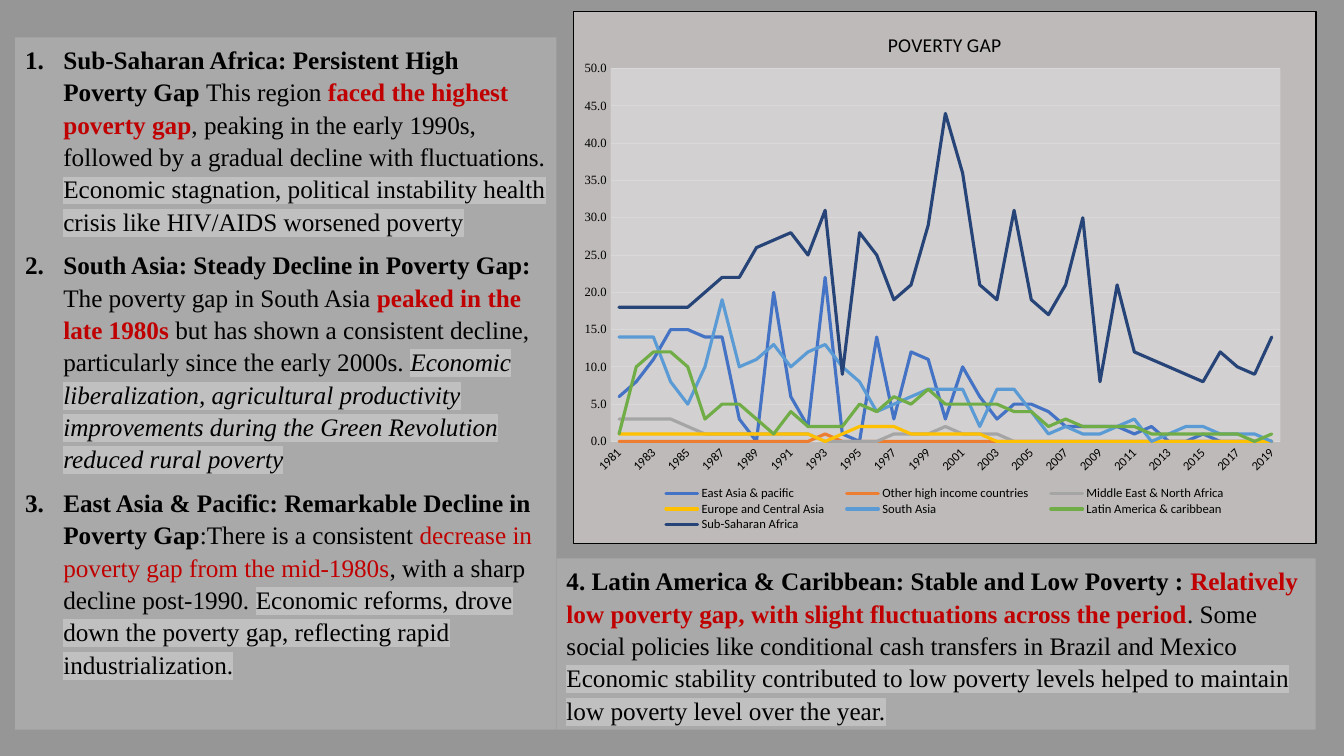
import pptx
import pptx.chart.data
import pptx.dml.color
import pptx.enum.chart
import pptx.enum.shapes
import pptx.enum.text
import pptx.oxml
import pptx.oxml.ns
import pptx.util

SLIDE_W, SLIDE_H = 13.33, 7.5
BLACK, RED, SILVER, PANEL, GRID = "000000", "C00000", "C0C0C0", "A9A9A9", "D9D9D9"
SERIF, SANS = "Times New Roman", "Calibri"

# Run styles: colour, bold, italic, highlighted
STYLES = {
    "plain": (BLACK, False, False, False),
    "head": (BLACK, True, False, False),
    "key": (RED, True, False, False),
    "red": (RED, False, False, False),
    "cause": (BLACK, False, False, True),
    "cause_italic": (BLACK, False, True, True),
}

NUMBERED_REGIONS = [
    [("Sub-Saharan Africa: Persistent High Poverty Gap ", "head"),
     ("This region ", "plain"),
     ("faced the highest poverty gap", "key"),
     (", peaking in the early 1990s, followed by a gradual decline with fluctuations. ", "plain"),
     ("Economic stagnation, political instability health crisis like HIV/AIDS worsened poverty",
      "cause")],
    [("South Asia: Steady Decline in Poverty Gap: ", "head"),
     ("The poverty gap in South Asia ", "plain"),
     ("peaked in the late 1980s ", "key"),
     ("but has shown a consistent decline, particularly since the early 2000s. ", "plain"),
     ("Economic liberalization, agricultural productivity improvements during the "
      "Green Revolution reduced rural poverty", "cause_italic")],
    [("East Asia & Pacific: Remarkable Decline in Poverty Gap", "head"),
     (":There is a consistent ", "plain"),
     ("decrease in poverty gap from the mid-1980s", "red"),
     (", with a sharp decline post-1990. ", "plain"),
     ("Economic reforms, drove down the poverty gap, reflecting rapid industrialization.",
      "cause")],
]
LATIN_AMERICA = [
    [("4. Latin America & Caribbean: Stable and Low Poverty : ", "head"),
     ("Relatively low poverty gap, with slight fluctuations across the period", "key"),
     (". Some social policies like conditional cash transfers in Brazil and Mexico ", "plain"),
     ("Economic stability contributed to low poverty levels helped to maintain low poverty "
      "level over the year.", "cause")],
]

YEARS = [str(year) for year in range(1981, 2020)]
POVERTY_GAP = [
    ("East Asia & pacific", "4472C4",
     [6, 8, 11, 15, 15, 14, 14, 3, 0, 20, 6, 2, 22, 1, 0, 14, 3, 12, 11, 3, 10, 6, 3, 5, 5, 4,
      2, 2, 2, 2, 1, 2, 0, 0, 1, 0, 0, 0, 0]),
    ("Other high income countries", "ED7D31", [0] * 12 + [1] + [0] * 26),
    ("Middle East & North Africa", "A5A5A5",
     [3] * 4 + [2] + [1] * 7 + [0] * 4 + [1, 1, 1, 2, 1, 1, 1] + [0] * 16),
    ("Europe and Central Asia", "FFC000",
     [1] * 12 + [0, 1, 2, 2, 2] + [1] * 5 + [0] * 17),
    ("South Asia", "5B9BD5",
     [14, 14, 14, 8, 5, 10, 19, 10, 11, 13, 10, 12, 13, 10, 8, 4, 5, 6, 7, 7, 7, 2, 7, 7, 4, 1,
      2, 1, 1, 2, 3, 0, 1, 2, 2, 1, 1, 1, 0]),
    ("Latin America & caribbean", "70AD47",
     [1, 10, 12, 12, 10, 3, 5, 5, 3, 1, 4, 2, 2, 2, 5, 4, 6, 5, 7, 5, 5, 5, 5, 4, 4, 2, 3, 2,
      2, 2, 2, 1, 1, 1, 1, 1, 1, 0, 1]),
    ("Sub-Saharan Africa", "264478",
     [18, 18, 18, 18, 18, 20, 22, 22, 26, 27, 28, 25, 31, 9, 28, 25, 19, 21, 29, 44, 36, 21,
      19, 31, 19, 17, 21, 30, 8, 21, 12, 11, 10, 9, 8, 12, 10, 9, 14]),
]

# Left column, then chart above the Latin America panel
LEFT, SPLIT, RIGHT, BOTTOM = 0.15, 5.52, 13.05, 7.24
REGIONS_BOX = (LEFT, 0.37, SPLIT - LEFT, BOTTOM - 0.37)
LATIN_BOX = (SPLIT, 5.54, RIGHT - SPLIT, BOTTOM - 5.54)
CHART_BOX = (5.68, 0.11, 7.38, 5.29)
# Shares of the chart: x, y, width, height
PLOT_SHARES = (0.05, 0.107, 0.902, 0.701)
LEGEND_SHARES = (0.1, 0.89, 0.8, 0.09)


def rgb(color):
    return pptx.dml.color.RGBColor.from_string(color)


def inches(box):
    return [pptx.util.Inches(length) for length in box]


def xml(body):
    """Parse an element, declaring the namespaces on its root tag."""
    tag, rest = body.split(" ", 1)
    return pptx.oxml.parse_xml(f"{tag} {pptx.oxml.ns.nsdecls('a', 'c')} {rest}")


def set_font(font, size, name, color=BLACK, bold=False, italic=False):
    font.size, font.name = pptx.util.Pt(size), name
    font.bold, font.italic = bold, italic
    font.color.rgb = rgb(color)


def add_panel(slide, box, paragraphs, numbered=False):
    panel = slide.shapes.add_shape(pptx.enum.shapes.MSO_SHAPE.RECTANGLE, *inches(box))
    panel.shadow.inherit = False
    panel.fill.solid()
    panel.fill.fore_color.rgb = rgb(PANEL)
    panel.line.fill.background()
    frame = panel.text_frame
    frame.word_wrap = True
    frame.vertical_anchor = pptx.enum.text.MSO_ANCHOR.TOP
    for index, runs in enumerate(paragraphs):
        paragraph = frame.add_paragraph() if index else frame.paragraphs[0]
        paragraph.alignment = pptx.enum.text.PP_ALIGN.LEFT
        paragraph.line_spacing = 1.07
        paragraph.space_after = pptx.util.Pt(8)
        if numbered:
            properties = paragraph._p.get_or_add_pPr()
            indent = pptx.util.Inches(0.38)
            properties.set("marL", str(indent))
            properties.set("indent", str(-indent))
            properties.append(xml('<a:buFont typeface="+mj-lt"/>'))
            properties.append(xml('<a:buAutoNum type="arabicPeriod"/>'))
        for text, style in runs:
            color, bold, italic, highlighted = STYLES[style]
            run = paragraph.add_run()
            run.text = text
            set_font(run.font, 18, SERIF, color, bold, italic)
            if highlighted:
                fill = run._r.rPr.find(pptx.oxml.ns.qn("a:solidFill"))
                fill.addnext(xml(f'<a:highlight ><a:srgbClr val="{SILVER}"/></a:highlight>'))


def area_style(fill, border=None):
    line = f'<a:solidFill><a:srgbClr val="{border}"/></a:solidFill>' if border else "<a:noFill/>"
    return xml(f'<c:spPr ><a:solidFill><a:srgbClr val="{fill}"/></a:solidFill>'
               f'<a:ln w="12700">{line}</a:ln></c:spPr>')


def set_layout(part, position, shares, target=""):
    """Place a chart part by shares of the chart, as its child number position."""
    for layout in part.findall(pptx.oxml.ns.qn("c:layout")):
        part.remove(layout)
    sides = "".join(f'<c:{side} val="{share}"/>' for side, share in zip("xywh", shares))
    part.insert(position, xml(
        f'<c:layout ><c:manualLayout>{target}<c:xMode val="edge"/><c:yMode val="edge"/>'
        f'{sides}</c:manualLayout></c:layout>'))


def style_axes(chart):
    for axis, font_name in ((chart.category_axis, SANS), (chart.value_axis, SERIF)):
        axis.major_tick_mark = axis.minor_tick_mark = pptx.enum.chart.XL_TICK_MARK.NONE
        set_font(axis.tick_labels.font, 9, font_name)
    years, values = chart.category_axis, chart.value_axis
    values.minimum_scale, values.maximum_scale, values.major_unit = 0, 50, 5
    values.tick_labels.number_format = "0.0"
    values.tick_labels.number_format_is_linked = False
    values.format.line.fill.background()
    for line in (years.format.line, values.major_gridlines.format.line):
        line.color.rgb = rgb(GRID)
        line.width = pptx.util.Pt(0.75)
    label_body = years._element.find(".//" + pptx.oxml.ns.qn("a:bodyPr"))
    label_body.set("rot", "-2700000")
    label_body.set("vert", "horz")


def add_poverty_chart(slide):
    data = pptx.chart.data.CategoryChartData(number_format="0.0")
    data.categories = YEARS
    for region, _, values in POVERTY_GAP:
        data.add_series(region, values)
    chart = slide.shapes.add_chart(
        pptx.enum.chart.XL_CHART_TYPE.LINE, *inches(CHART_BOX), data).chart
    set_font(chart.font, 10, SANS)
    chart.has_title = True
    chart.chart_title.include_in_layout = False
    title = chart.chart_title.text_frame
    title.text = "POVERTY GAP"
    set_font(title.paragraphs[0].runs[0].font, 14, SANS)
    chart.has_legend = True
    chart.legend.position = pptx.enum.chart.XL_LEGEND_POSITION.BOTTOM
    chart.legend.include_in_layout = False
    set_font(chart.legend.font, 9, SANS)
    style_axes(chart)
    chart.plots[0].vary_by_categories = False
    for series, (_, color, _) in zip(chart.plots[0].series, POVERTY_GAP):
        series.smooth = False
        series.marker.style = pptx.enum.chart.XL_MARKER_STYLE.NONE
        line = series.format.line
        line.color.rgb = rgb(color)
        line.width = pptx.util.Pt(2.25)
        outline = series._element.find(".//" + pptx.oxml.ns.qn("a:ln"))
        outline.set("cap", "rnd")
        outline.append(xml("<a:round />"))

    chart_part = chart.element.find(pptx.oxml.ns.qn("c:chart"))
    chart_part.addnext(area_style("BEBABA", BLACK))
    plot_area = chart_part.find(pptx.oxml.ns.qn("c:plotArea"))
    set_layout(plot_area, 0, PLOT_SHARES, '<c:layoutTarget val="inner"/>')
    plot_area.append(area_style("D2D0D0"))
    set_layout(chart_part.find(pptx.oxml.ns.qn("c:legend")), 1, LEGEND_SHARES)


def main():
    deck = pptx.Presentation()
    deck.slide_width, deck.slide_height = inches((SLIDE_W, SLIDE_H))
    slide = deck.slides.add_slide(deck.slide_layouts[6])
    slide.background.fill.solid()
    slide.background.fill.fore_color.rgb = rgb("969696")
    add_poverty_chart(slide)
    add_panel(slide, REGIONS_BOX, NUMBERED_REGIONS, numbered=True)
    add_panel(slide, LATIN_BOX, LATIN_AMERICA)
    deck.save("out.pptx")


if __name__ == "__main__":
    main()
